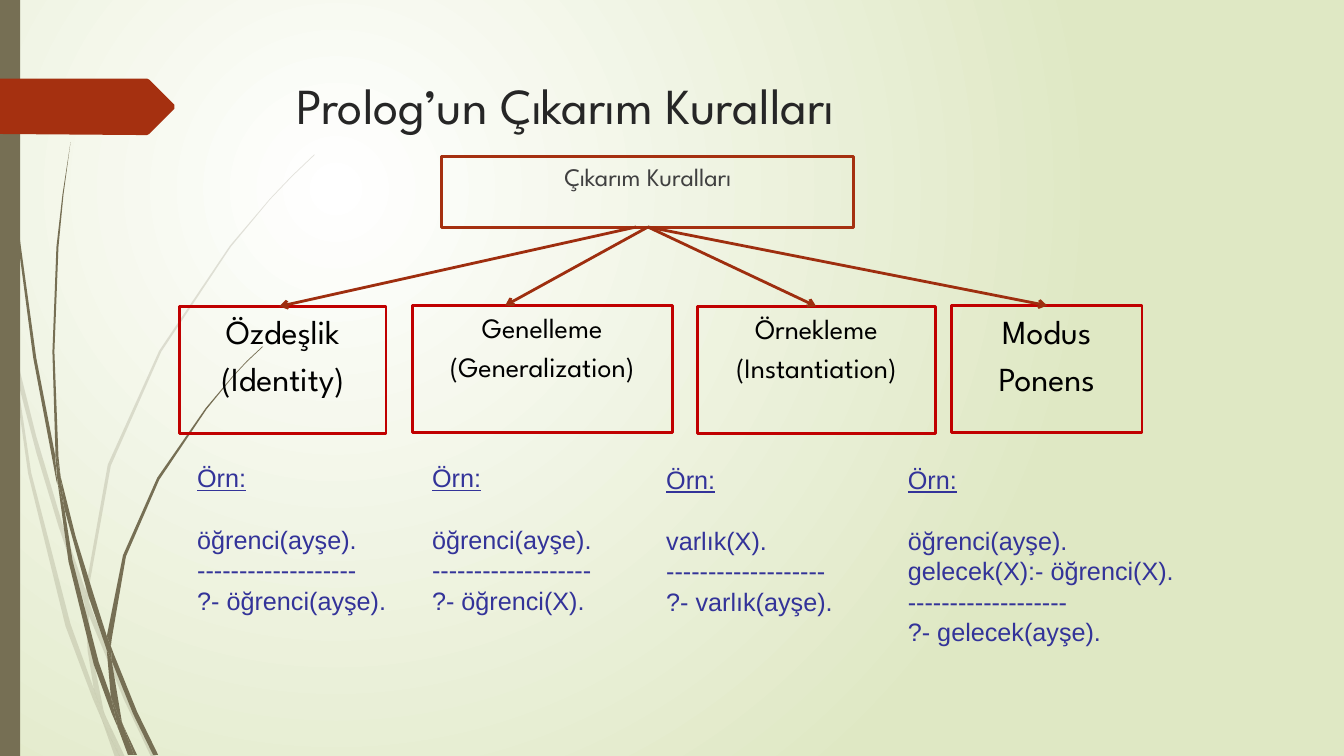
from lxml import etree
from pptx import Presentation
from pptx import util as u
from pptx.dml.color import RGBColor
from pptx.enum import shapes, text
from pptx.oxml.ns import qn

OLIVE = RGBColor(0x76, 0x6F, 0x54)
RUST = RGBColor(0xA5, 0x30, 0x10)
DARK_RUST = RGBColor(0x9E, 0x2E, 0x0F)
RED = RGBColor(0xC0, 0x00, 0x00)
INDIGO = RGBColor(0x33, 0x33, 0x99)
CHARCOAL = RGBColor(0x26, 0x26, 0x26)
GREY = RGBColor(0x40, 0x40, 0x40)
BLACK = RGBColor(0x00, 0x00, 0x00)
WHITE = RGBColor(0xFF, 0xFF, 0xFF)
PALE_GREEN = RGBColor(0xDF, 0xE8, 0xC4)

GRID = u.Cm(2.54) / 100

PALE_WISPS = (
    "11,350 9,322 0,282 0,299 10,344",
    "58,522 84,599 85,586 62,520 36,433 14,345 17,376 36,449",
    "92,607 88,596 88,610 123,694 150,751 155,751 127,692",
    "119,751 124,751 105,711",
    "93,683 70,619 31,469 17,376 11,350 28,470 65,621 92,693 101,714 99,707",
    "84,599 87,646 93,683 96,692 105,711 103,706 91,646 88,610 88,608",
    "88,584 110,462 160,349 229,245 268,198 290,175 312,154 312,153 289,175 268,197 "
    "228,244 158,348 107,461 85,584 85,586 88,596",
    "101,714 114,751 119,751",
    "88,608 88,610 88,596 85,586 84,599",
    "96,692 93,683 99,707 101,714 119,751 105,711",
)
DARK_WISPS = (
    "7,110 17,233 33,355 56,477 57,481 55,457 55,453 36,355 19,232 8,109 5,48 4,0 3,0 4,48",
    "88,592 106,645 106,633 106,631 93,590 75,532 60,472 64,505",
    "113,649 110,641 111,656 132,708 152,749 157,749 136,706",
    "110,691 98,657 72,556 64,505 57,477 68,557 93,659 111,708 117,722 116,717",
    "60,472 58,453 54,349 58,245 63,193 70,141 62,193 56,245 52,349 55,449",
    "133,749 136,749 122,719",
    "57,477 64,505 60,472 55,449 55,453",
    "111,633 125,552 158,476 205,406 231,374 245,359 261,344 260,344 245,358 231,373 "
    "204,405 156,474 122,551 106,631 110,641",
    "117,722 127,749 131,749",
    "106,645 110,691 116,706 122,719 121,716 111,656 109,651",
    "106,645 109,651 111,656 110,641 106,631 106,633",
    "116,706 110,691 116,717 117,722 130,749 133,749 122,719",
)
TITLE_TAG = "0,78 136,78 146,78 148,79 173,104 173,108 148,133 146,134 136,134 0,133"


class Deck:
    heading_font = "League Spartan"
    example_font = "Arial"

    def __init__(self, prs):
        self.s = prs.slides.add_slide(prs.slide_layouts[5])

    def background(self, inner, outer):
        fill = self.s.background.fill
        fill.gradient()
        for stop, color in zip(fill.gradient_stops, (inner, outer)):
            stop.color.rgb = color
        grad = self.s.element.find(".//" + qn("a:gradFill"))
        lin = grad.find(qn("a:lin"))
        radial = etree.Element(qn("a:path"), {"path": "circle"})
        etree.SubElement(radial, qn("a:fillToRect"), l="50000", t="50000", r="100000", b="100000")
        grad.replace(lin, radial)

    def solid(self, sp, color, alpha=None):
        sp.shadow.inherit = False
        sp.fill.solid()
        sp.fill.fore_color.rgb = color
        sp.line.fill.background()
        if alpha:
            clr = sp.element.spPr.find(qn("a:solidFill"))[0]
            etree.SubElement(clr, qn("a:alpha"), val=str(alpha * 1000))

    def outline(self, parent, points, color, alpha=None):
        pts = [tuple(int(n) for n in point.split(",")) for point in points.split()]
        builder = parent.build_freeform(*pts[0], scale=GRID)
        builder.add_line_segments(pts[1:], close=True)
        self.solid(builder.convert_to_shape(), color, alpha)

    def wisps(self, outlines, color, alpha=None):
        group = self.s.shapes.add_group_shape()
        for points in outlines:
            self.outline(group.shapes, points, color, alpha)

    def bar(self, left, top, width, height, color):
        sp = self.s.shapes.add_shape(shapes.MSO_SHAPE.RECTANGLE, u.Cm(left), u.Cm(top),
                                     u.Cm(width), u.Cm(height))
        self.solid(sp, color)
        return sp

    def run(self, p, words, size, font, color, underline=None):
        r = p.add_run()
        r.text = words
        r.font.size = u.Pt(size)
        r.font.name = font
        r.font.color.rgb = color
        r.font.underline = underline

    def paragraphs(self, tf, count):
        return [tf.paragraphs[0]] + [tf.add_paragraph() for _ in range(count - 1)]

    def title(self, words):
        sp = self.s.shapes.title
        sp.left, sp.top, sp.width, sp.height = u.Cm(7.21), u.Cm(1.73), u.Cm(24.77), u.Cm(3.56)
        tf = sp.text_frame
        tf.vertical_anchor = text.MSO_ANCHOR.TOP
        p = tf.paragraphs[0]
        p.alignment = text.PP_ALIGN.LEFT
        self.run(p, words, 36, self.heading_font, CHARCOAL)

    def box(self, left, top, width, height, lines, size, border, color, gap, last_indent=0):
        sp = self.bar(left, top, width, height, border)
        sp.fill.background()
        sp.line.color.rgb = border
        sp.line.width = u.Pt(2)
        tf = sp.text_frame
        tf.word_wrap = True
        tf.vertical_anchor = text.MSO_ANCHOR.TOP
        for p, line in zip(self.paragraphs(tf, len(lines)), lines):
            p.alignment = text.PP_ALIGN.CENTER
            p.space_before = u.Pt(gap)
            self.run(p, line, size, self.heading_font, color)
        if last_indent:
            p._p.get_or_add_pPr().set("indent", str(u.Cm(last_indent)))

    def arrow(self, x1, y1, x2, y2):
        c = self.s.shapes.add_connector(shapes.MSO_CONNECTOR.STRAIGHT, u.Cm(x1), u.Cm(y1),
                                        u.Cm(x2), u.Cm(y2))
        c.line.color.rgb = DARK_RUST
        c.line.width = u.Pt(2)
        etree.SubElement(c.line._get_or_add_ln(), qn("a:tailEnd"), type="arrow")
        etree.SubElement(c.element.spPr, qn("a:effectLst"))

    def example(self, left, top, width, lines):
        pitch = 21.8
        height = 0.25 + (len(lines) + 2) * 0.77
        sp = self.s.shapes.add_textbox(u.Cm(left), u.Cm(top), u.Cm(width), u.Cm(height))
        tf = sp.text_frame
        tf.word_wrap = True
        tf.auto_size = text.MSO_AUTO_SIZE.SHAPE_TO_FIT_TEXT
        head, *body = self.paragraphs(tf, len(lines) + 1)
        self.run(head, "Örn:", 18, self.example_font, INDIGO, True)
        for p, line in zip(body, lines):
            self.run(p, line, 18, self.example_font, INDIGO)
        body[0].space_before = u.Pt(pitch)
        for p in tf.paragraphs:
            p.line_spacing = u.Pt(pitch)


prs = Presentation()
prs.slide_width, prs.slide_height = u.Cm(33.87), u.Cm(19.05)
deck = Deck(prs)
deck.background(WHITE, PALE_GREEN)
deck.wisps(PALE_WISPS, OLIVE, 20)
deck.wisps(DARK_WISPS, OLIVE)
deck.bar(0, 0, 0.51, 19.05, OLIVE)
deck.outline(deck.s.shapes, TITLE_TAG, RUST)
deck.title("Prolog’un Çıkarım Kuralları")
deck.box(11.13, 3.94, 10.39, 1.8, ["Çıkarım Kuralları"], 18, RUST, GREY, 10)

RULES = (
    (4.52, 7.72, 5.21, 24, ("Özdeşlik", "(Identity)"), 0, 16.03, 7.04),
    (10.39, 7.7, 6.55, 20, ("Genelleme", "(Generalization)"), 0, 16.33, 12.73),
    (17.58, 7.72, 5.99, 20, ("Örnekleme", "(Instantiation)"), 0, 16.33, 20.57),
    (23.98, 7.7, 4.8, 24, ("Modus", "Ponens"), -0.6, 16.33, 26.39),
)
for left, top, width, size, lines, indent, start, tip in RULES:
    deck.box(left, top, width, 3.2, lines, size, RED, BLACK, size * 0.2, indent)
    deck.arrow(start, 5.72, tip, top)

DASHES = "-" * 19
EXAMPLES = (
    (4.72, 11.53, 5.59, ("öğrenci(ayşe).", DASHES, "?- öğrenci(ayşe).")),
    (10.64, 11.53, 5.59, ("öğrenci(ayşe).", DASHES, "?- öğrenci(X).")),
    (16.54, 11.56, 5.59, ("varlık(X).", DASHES, "?- varlık(ayşe).")),
    (22.63, 11.56, 7.49, ("öğrenci(ayşe).", "gelecek(X):- öğrenci(X).", DASHES,
                          "?- gelecek(ayşe).")),
)
for left, top, width, lines in EXAMPLES:
    deck.example(left, top, width, lines)

prs.save("out.pptx")
